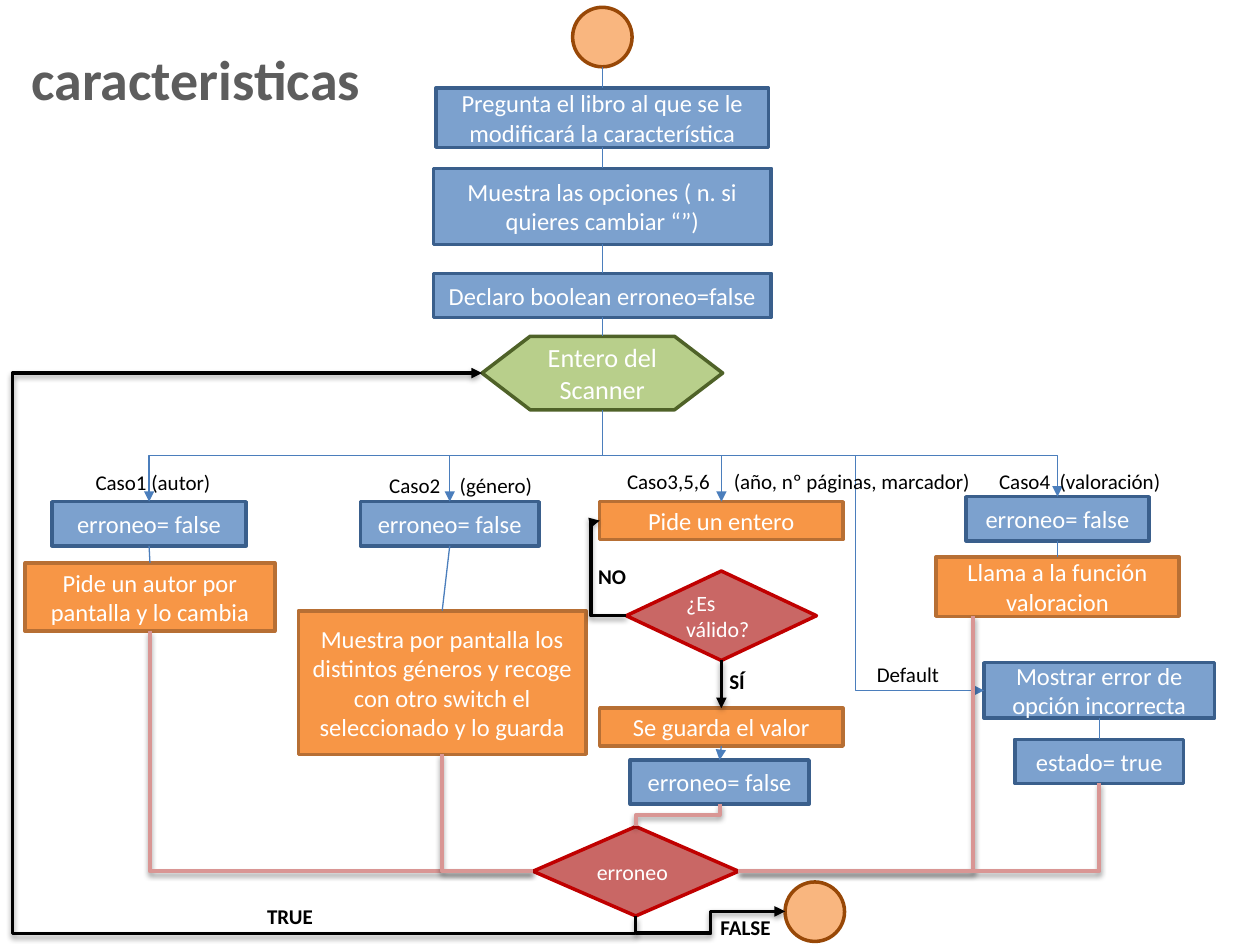
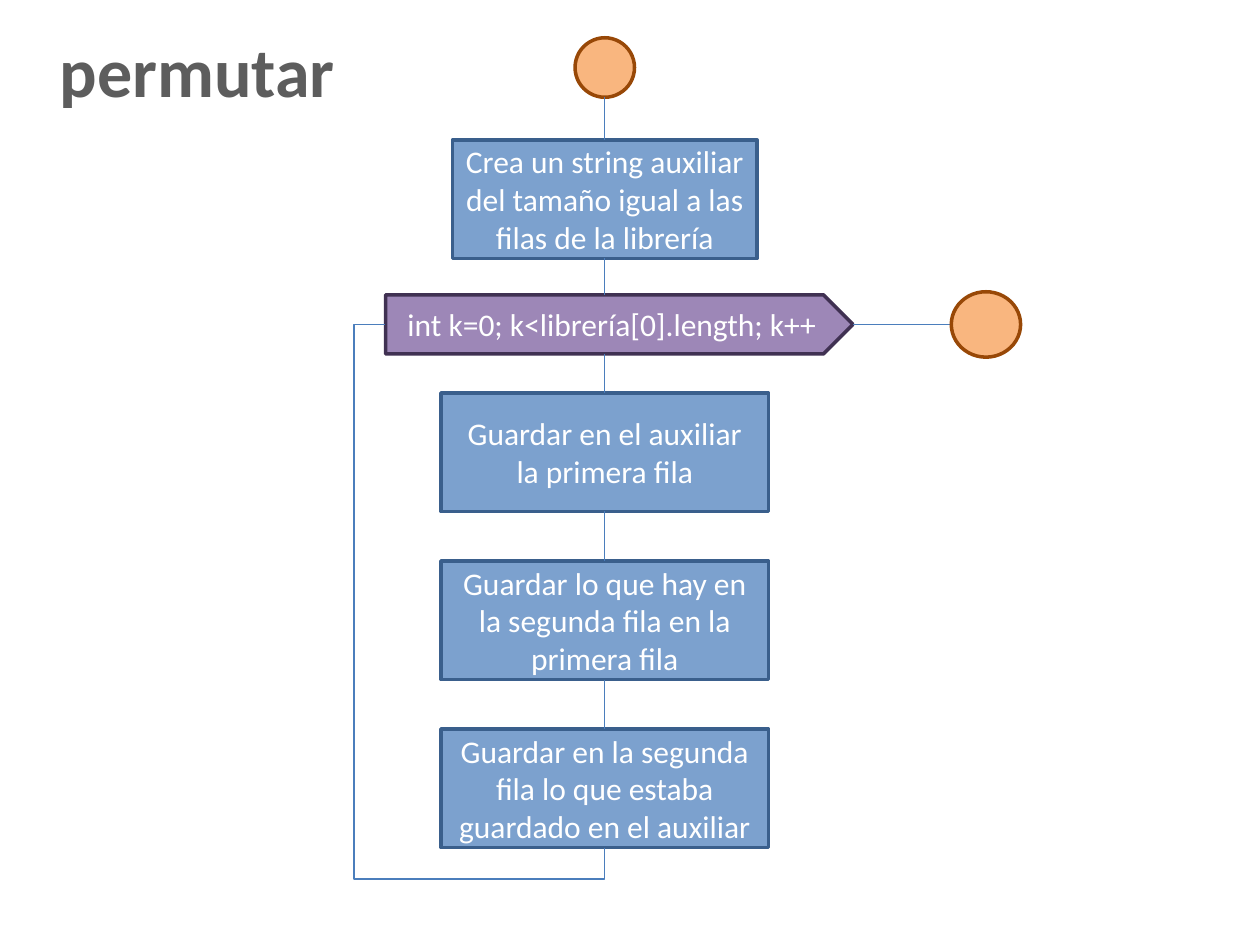
import collections
import lxml.etree
import pptx
import pptx.dml.color
import pptx.enum.shapes
import pptx.enum.text
import pptx.oxml.ns
import pptx.util

Pt = pptx.util.Pt
RGB = pptx.dml.color.RGBColor
KIND = pptx.enum.shapes.MSO_SHAPE
LINE = pptx.enum.shapes.MSO_CONNECTOR
ALIGN = pptx.enum.text.PP_ALIGN
ANCHOR = pptx.enum.text.MSO_ANCHOR
qn = pptx.oxml.ns.qn

Box = collections.namedtuple("Box", "left top wide high")
Paint = collections.namedtuple("Paint", "fill edge")
Pen = collections.namedtuple("Pen", "color width tip shade")

# Shared look
FONT = "Calibri"
WHITE = RGB(0xFF, 0xFF, 0xFF)
BLACK = RGB(0, 0, 0)
GRAY = RGB(0x5D, 0x5D, 0x5D)
SKY = RGB(0x4B, 0x7E, 0xBC)
PINK = RGB(0xD9, 0x96, 0x94)

STEP = Paint(RGB(0x7C, 0xA1, 0xCE), RGB(0x3A, 0x5F, 0x8C))
INPUT = Paint(RGB(0xF7, 0x96, 0x46), RGB(0xB7, 0x6F, 0x34))
READ = Paint(RGB(0xB8, 0xCF, 0x8B), RGB(0x4F, 0x62, 0x28))
TEST = Paint(RGB(0xC9, 0x67, 0x65), RGB(0xC0, 0, 0))
LOOP = Paint(RGB(0x9D, 0x87, 0xB7), RGB(0x40, 0x31, 0x52))
END = Paint(RGB(0xF9, 0xB6, 0x7F), RGB(0x98, 0x48, 0x07))

THIN = Pen(SKY, 0.75, False, False)
ARROW = Pen(SKY, 0.75, True, False)
MERGE = Pen(PINK, 2.25, False, True)
BOLD = Pen(BLACK, 2, True, True)

TOP, LEFT, BOTTOM, RIGHT = range(4)
RESET = "erroneo= false"


# Text and shapes
def write(frame, text, size, color, bold=False, align=ALIGN.CENTER):
    para = frame.paragraphs[0]
    para.alignment = align
    run = para.add_run()
    run.text = text
    run.font.name = FONT
    run.font.size = Pt(size)
    run.font.bold = bold
    run.font.color.rgb = color
    return para


def title(slide, box, text, size):
    shape = slide.shapes.title
    shape.left, shape.top, shape.width, shape.height = map(Pt, box)
    frame = shape.text_frame
    frame.word_wrap = True
    frame.auto_size = pptx.enum.text.MSO_AUTO_SIZE.NONE
    frame.vertical_anchor = ANCHOR.TOP
    write(frame, text, size, GRAY, True)


def put(slide, kind, box, paint, text="", size=14, align=ALIGN.CENTER):
    shape = slide.shapes.add_shape(kind, *map(Pt, box))
    shape.shadow.inherit = False
    shape.fill.solid()
    shape.fill.fore_color.rgb = paint.fill
    shape.line.color.rgb = paint.edge
    shape.line.width = Pt(2)
    if text:
        shape.text_frame.vertical_anchor = ANCHOR.MIDDLE
        write(shape.text_frame, text, size, WHITE, align=align)
    return shape


def step(slide, box, text, paint=STEP, size=14):
    return put(slide, KIND.FLOWCHART_PROCESS, box, paint, text, size)


def dot(slide, box):
    return put(slide, KIND.FLOWCHART_CONNECTOR, box, END)


def test(slide, box, text):
    return put(slide, KIND.FLOWCHART_DECISION, box, TEST, text, 12.5, ALIGN.LEFT)


def label(slide, left, top, wide, text, bold=False, tab=0):
    shape = slide.shapes.add_textbox(*map(Pt, (left, top, wide, 21.6)))
    shape.text_frame.word_wrap = True
    para = write(shape.text_frame, text, 12, BLACK, bold, ALIGN.LEFT)
    if tab:
        stops = lxml.etree.SubElement(para._p.get_or_add_pPr(), qn("a:tabLst"))
        lxml.etree.SubElement(stops, qn("a:tab"), pos=str(int(Pt(tab))), algn="l")


def center(box, top, wide, high, shift=0):
    """Box of the given size, centred across another one."""
    return Box(box.left + (box.wide - wide) / 2 + shift, box.top + top, wide, high)


# Lines
def spot(shape, side):
    x, y = shape.left.pt, shape.top.pt
    w, h = shape.width.pt, shape.height.pt
    return ((x + w / 2, y), (x, y + h / 2), (x + w / 2, y + h), (x + w, y + h / 2))[side]


def ink(line, pen):
    line.line.color.rgb = pen.color
    line.line.width = Pt(pen.width)
    if pen.tip:
        lxml.etree.SubElement(line.line._get_or_add_ln(), qn("a:tailEnd"), type="triangle")
    glow = lxml.etree.SubElement(line._element.spPr, qn("a:effectLst"))
    if pen.shade:
        cast = lxml.etree.SubElement(glow, qn("a:outerShdw"), blurRad="40000",
                                     dist="20000", dir="5400000", rotWithShape="0")
        tone = lxml.etree.SubElement(cast, qn("a:srgbClr"), val="000000")
        lxml.etree.SubElement(tone, qn("a:alpha"), val="38000")


def link(slide, start, end, pen=THIN):
    """Straight line; each end is a point or a (shape, side) pair."""
    ends = [(e, hasattr(e[0], "left")) for e in (start, end)]
    (x1, y1), (x2, y2) = [spot(*e) if held else e for e, held in ends]
    line = slide.shapes.add_connector(LINE.STRAIGHT, *map(Pt, (x1, y1, x2, y2)))
    for (e, held), join in zip(ends, (line.begin_connect, line.end_connect)):
        if held:
            join(*e)
    ink(line, pen)


def wire(slide, pen, *points):
    """Bent connector through one to three corners."""
    (x1, y1), (xa, ya), (x2, y2) = points[0], points[1], points[-1]
    if abs(xa - x1) > abs(ya - y1):
        turn = 0 if xa > x1 else 180
    else:
        turn = 90 if ya > y1 else 270

    def local(point):
        x, y = point[0] - x1, point[1] - y1
        return {0: (x, y), 90: (y, -x), 180: (-x, -y), 270: (-y, x)}[turn]

    dx, dy = local((x2, y2))
    wide, high = abs(dx), abs(dy)
    left, top = (x1 + x2 - wide) / 2, (y1 + y2 - high) / 2
    line = slide.shapes.add_connector(
        LINE.ELBOW, *map(Pt, (left, top, left + wide, top + high)))
    flips, angle = [dx < 0, dy < 0], turn
    if flips[1] and turn in (90, 270):
        flips, angle = [not flips[0], False], (turn + 180) % 360
    frame = line._element.spPr.find(qn("a:xfrm"))
    frame.set("rot", str(angle * 60000))
    for name, flip in zip(("flipH", "flipV"), flips):
        frame.set(name, str(int(flip)))

    bends = len(points) - 2
    shape = line._element.spPr.find(qn("a:prstGeom"))
    shape.set("prst", f"bentConnector{bends + 1}")
    rates = []
    if bends > 1:
        rates.append(local(points[1])[0] / dx)
    if bends > 2:
        rates.append(local(points[2])[1] / dy)
    for n, rate in enumerate(rates, 1):
        lxml.etree.SubElement(shape.find(qn("a:avLst")), qn("a:gd"),
                              name=f"adj{n}", fmla=f"val {round(rate * 100000)}")
    ink(line, pen)


# Slide 1 regions
def intro(slide, box):
    """Start dot, three steps and the reading of the option."""
    dot(slide, center(box, 0, 34, 34))
    rows = ((46, 190, 34, "Pregunta el libro al que se le modificará la característica"),
            (92, 193, 43.5, "Muestra las opciones ( n. si quieres cambiar “”)"),
            (152, 193, 25.2, "Declaro boolean erroneo=false"))
    last = (box.left + box.wide / 2, box.top + 34)
    for top, wide, high, text in rows:
        shape = step(slide, center(box, top, wide, high), text)
        link(slide, last, (shape, TOP))
        last = (shape, BOTTOM)
    scan = put(slide, KIND.FLOWCHART_PREPARATION, center(box, 188, 137.5, 42),
               READ, "Entero del Scanner", 15)
    link(slide, last, (scan, TOP))
    return scan


def pair(slide, box, head, body, shift=0):
    """Two linked steps, at the top and the bottom of the box."""
    text, wide, high = head
    first = step(slide, center(box, 0, wide, high, shift), text)
    text, high, paint, width = body
    second = step(slide, center(box, box.high - high, width, high), text, paint)
    link(slide, (first, BOTTOM), (second, TOP))
    return first, second


def check(slide, box):
    """Whole number asked for until it is valid."""
    ask = step(slide, center(box, 0, box.wide, 21.6), "Pide un entero", INPUT)
    valid = test(slide, center(box, 39.6, 108.7, 51.1), "¿Es válido?")
    save = step(slide, center(box, 118, box.wide, 21.6), "Se guarda el valor", INPUT)
    reset = step(slide, center(box, 147.6, 102.2, 25.2, -1), RESET)
    link(slide, (valid, BOTTOM), (save, TOP), BOLD)
    link(slide, (save, BOTTOM), (reset, TOP), ARROW)
    out, back = spot(valid, LEFT), spot(ask, LEFT)
    lane = box.left - 5
    wire(slide, BOLD, out, (lane, out[1]), (lane, back[1]), back)
    label(slide, box.left - 8, box.top + 31.6, 44, "NO", True)
    label(slide, box.left + 67, box.top + 92, 44, "SÍ", True)
    return ask, reset


def finish(slide, box, scan):
    """Final test: back to the scanner or on to the end dot."""
    ask = test(slide, Box(box.left, box.top, 117.4, 51.1), "erroneo")
    dot(slide, Box(box.left + 144, box.top + 31.7, 34, 34))
    x, y = spot(ask, BOTTOM)
    back = spot(scan, LEFT)
    low, edge, half = box.top + 61, 7.2, box.left + 101.5
    wire(slide, BOLD, (x, y), (x, low), (edge, low), (edge, back[1]), back)
    wire(slide, BOLD, (x, low), (half, low), (half, box.top + 48.5),
         (box.left + 144, box.top + 48.5))
    label(slide, box.left - 159, box.top + 40.3, 44, "TRUE", True)
    label(slide, box.left + 100, box.top + 46.8, 44, "FALSE", True)
    return ask


def traits(slide):
    title(slide, Box(5.8, 21.6, 212.4, 46), "caracteristicas", 32)
    scan = intro(slide, Box(247.7, 4.2, 193, 230))

    # Cases
    author = pair(slide, Box(14.4, 286.7, 142.6, 74), (RESET, 111, 25.2),
                  ("Pide un autor por pantalla y lo cambia", 39, INPUT, 142.6), -0.5)
    genre = pair(slide, Box(170.6, 286.7, 164.2, 144.3), (RESET, 102.2, 25.2),
                 ("Muestra por pantalla los distintos géneros y recoge con otro "
                  "switch el seleccionado y lo guarda", 82, INPUT, 164.2), 4.3)
    number = check(slide, Box(342.7, 286.7, 139, 173))
    rating = pair(slide, Box(534.8, 283.8, 139, 68.4), (RESET, 104.4, 25.2),
                  ("Llama a la función valoracion", 34, INPUT, 139))
    wrong = pair(slide, Box(562.3, 378.7, 131.8, 69),
                 ("Mostrar error de opción incorrecta", 131.8, 31.7),
                 ("estado= true", 25.2, STEP, 96.5))

    # Branches from the scanner
    x, y = spot(scan, BOTTOM)
    bus = 260.4
    for case in (author, genre, number, rating):
        end = spot(case[0], TOP)
        wire(slide, ARROW, (x, y), (x, bus), (end[0], bus), end)
    end = spot(wrong[0], LEFT)
    wire(slide, ARROW, (x, bus), (489, bus), (489, end[1]), end)
    label(slide, 47.5, 265, 87, "Caso1 (autor)")
    label(slide, 215.3, 266.5, 101, "Caso2\t(género)", tab=40.3)
    label(slide, 351.2, 264.4, 217.5, "Caso3,5,6\t(año, nº páginas, marcador)", tab=61)
    label(slide, 563.8, 264.4, 117.5, "Caso4\t(valoración)", tab=34.6)
    label(slide, 494, 374.4, 67.7, "Default")

    # Merge into the final test
    last = finish(slide, Box(304.6, 472.3, 178, 66), scan)
    x, y = spot(rating[1], BOTTOM)
    for start, side in ((spot(author[1], BOTTOM), LEFT), (spot(genre[1], BOTTOM), LEFT),
                        ((x - 48.5, y), RIGHT), (spot(wrong[1], BOTTOM), RIGHT)):
        end = spot(last, side)
        wire(slide, MERGE, start, (start[0], end[1]), end)
    start, end = spot(number[1], BOTTOM), spot(last, TOP)
    half = (start[1] + end[1]) / 2
    wire(slide, MERGE, start, (start[0], half), (end[0], half), end)


# Slide 2
def swap(slide, box):
    """Loop that swaps rows, centred in the box."""
    title(slide, Box(6.5, 12.2, 212.4, 55.4), "permutar", 40)
    x = box.left + box.wide / 2
    dot(slide, center(box, 0, 34, 34))
    make = step(slide, center(box, 58.4, 174.2, 67.7),
                "Crea un string auxiliar del tamaño igual a las filas de la librería", size=18)
    link(slide, (x, box.top + 34), (make, TOP))
    plate = put(slide, KIND.PENTAGON, Box(box.left - 31.7, box.top + 146.9, 267.1, 33.8),
                LOOP, "int k=0; k<librería[0].length; k++", 18)
    link(slide, (make, BOTTOM), (x, plate.top.pt))
    out = spot(plate, RIGHT)
    exit_box = Box(box.left + 291.6, out[1] - 18.7, 39.6, 37.4)
    link(slide, out, (exit_box.left, out[1]))
    dot(slide, exit_box)

    last = (x, spot(plate, BOTTOM)[1])
    texts = ("Guardar en el auxiliar la primera fila",
             "Guardar lo que hay en la segunda fila en la primera fila",
             "Guardar en la segunda fila lo que estaba guardado en el auxiliar")
    for n, text in enumerate(texts):
        shape = step(slide, center(box, 203 + 96 * n, box.wide, 67.7), text, size=18)
        link(slide, last, (shape, TOP))
        last = (shape, BOTTOM)
    start, back = spot(*last), spot(plate, LEFT)
    low, lane = start[1] + 18, back[0] - 18
    wire(slide, THIN, start, (x, low), (lane, low), (lane, back[1]), back)


def main():
    deck = pptx.Presentation()
    deck.slide_width, deck.slide_height = Pt(720), Pt(540)
    plain = deck.slide_layouts[5]
    traits(deck.slides.add_slide(plain))
    swap(deck.slides.add_slide(plain), Box(252, 21.6, 187.2, 481))
    deck.save("out.pptx")


if __name__ == "__main__":
    main()
